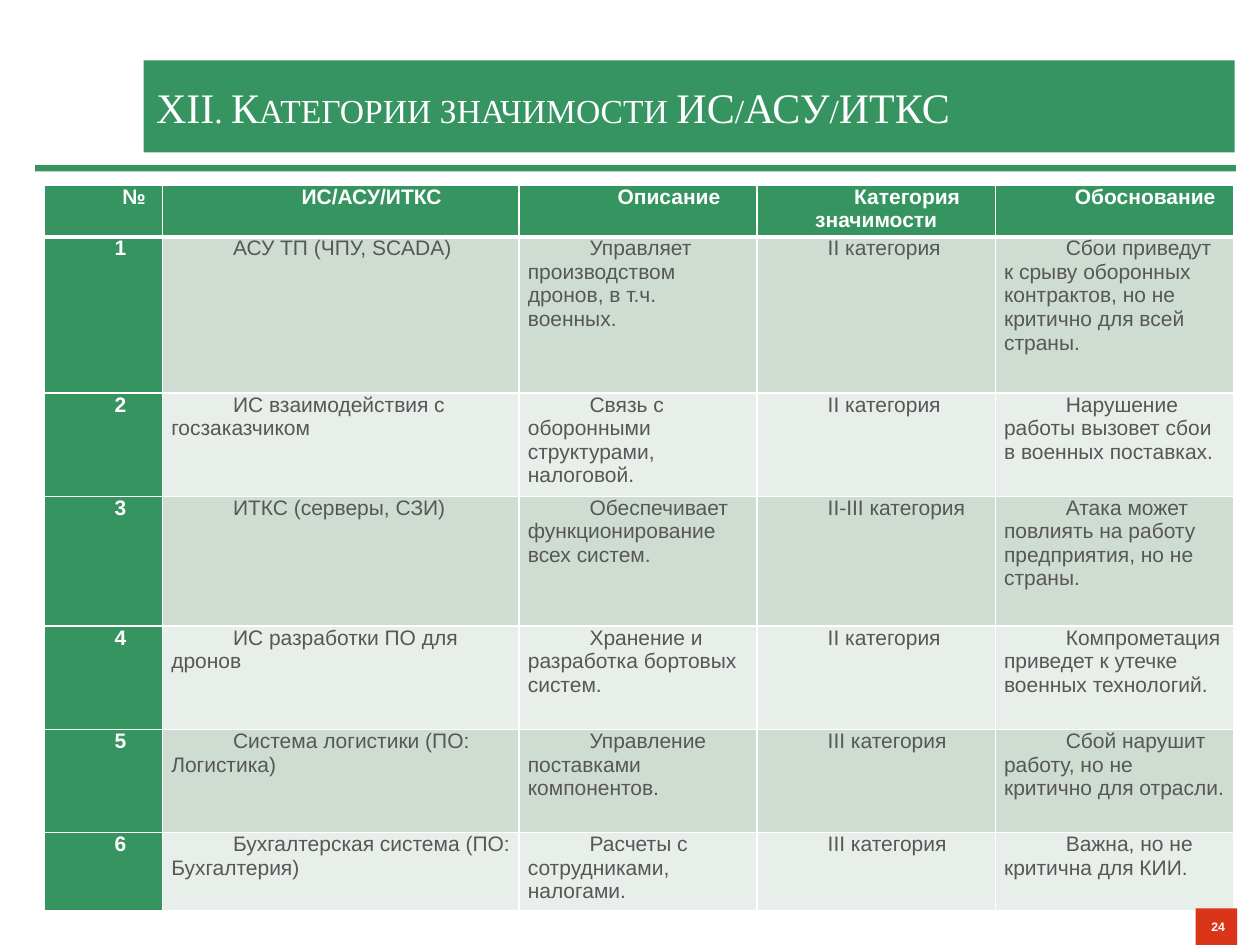
from lxml.etree import SubElement
from pptx import Presentation
from pptx.dml.color import RGBColor
from pptx.enum.shapes import MSO_SHAPE as Shape
from pptx.enum.text import MSO_ANCHOR as Anchor, PP_ALIGN as Align
from pptx.oxml.ns import qn
from pptx.util import Inches, Pt

GREEN, RED, WHITE, GREY = "369461", "DB3519", "FFFFFF", "575756"
BANDS = ["CEDCD2", "E8EEEA"]
TITLE = "XII. Категории значимости ИС/АСУ/ИТКС"
PAGE_NUMBER = "24"
HEADER = ["№", "ИС/АСУ/ИТКС", "Описание", "Категория значимости", "Обоснование"]
SYSTEMS = [
    ("АСУ ТП (ЧПУ, SCADA)", "Управляет производством дронов, в т.ч. военных.", "II категория",
     "Сбои приведут к срыву оборонных контрактов, но не критично для всей страны."),
    ("ИС взаимодействия с госзаказчиком", "Связь с оборонными структурами, налоговой.",
     "II категория", "Нарушение работы вызовет сбои в военных поставках."),
    ("ИТКС (серверы, СЗИ)", "Обеспечивает функционирование всех систем.", "II-III категория",
     "Атака может повлиять на работу предприятия, но не страны."),
    ("ИС разработки ПО для дронов", "Хранение и разработка бортовых систем.", "II категория",
     "Компрометация приведет к утечке военных технологий."),
    ("Система логистики (ПО: Логистика)", "Управление поставками компонентов.", "III категория",
     "Сбой нарушит работу, но не критично для отрасли."),
    ("Бухгалтерская система (ПО: Бухгалтерия)", "Расчеты с сотрудниками, налогами.",
     "III категория", "Важна, но не критична для КИИ."),
]
COLUMN_WIDTHS = [0.94, 2.83, 1.89, 1.89, 1.89]
ROW_HEIGHTS = [0.41, 1.24, 0.82, 1.03, 0.82, 0.82, 0.62]


def color(value):
    return RGBColor.from_string(value)


def add_run(para, text, size, font, tint, bold=False):
    span = para.add_run()
    span.text = text
    span.font.size = Pt(size)
    span.font.name = font
    span.font.bold = bold
    span.font.color.rgb = color(tint)
    return span


def add_block(page, left, top, width, height, fill):
    box = page.shapes.add_shape(
        Shape.RECTANGLE, Inches(left), Inches(top), Inches(width), Inches(height))
    box.shadow.inherit = False
    box.fill.solid()
    box.fill.fore_color.rgb = color(fill)
    box.line.fill.background()
    box.text_frame.word_wrap = True
    box.text_frame.vertical_anchor = Anchor.MIDDLE
    return box


def add_border(cell, side, width):
    line = SubElement(cell._tc.get_or_add_tcPr(), qn(f"a:ln{side}"), w=str(Pt(width)))
    fill = SubElement(line, qn("a:solidFill"))
    SubElement(fill, qn("a:srgbClr"), val=WHITE)


def fill_cell(cell, text, row, column):
    strong = row == 0 or column == 0
    thick = {0: "B", 1: "T"}.get(row)
    for side in "LRTB":
        add_border(cell, side, 3 if side == thick else 1)
    cell.fill.solid()
    cell.fill.fore_color.rgb = color(GREEN if strong else BANDS[(row - 1) % 2])
    cell.margin_left = cell.margin_right = Inches(0.07)
    cell.margin_top = cell.margin_bottom = 0
    para = cell.text_frame.paragraphs[0]
    para.alignment = Align.CENTER if row == 0 else Align.LEFT
    para.space_before = Pt(6)
    properties = para._p.get_or_add_pPr()
    properties.set("marL", "0")
    properties.set("indent", str(Inches(0.49)))
    add_run(para, text, 12, "Arial", WHITE if strong else GREY, strong)


def add_systems_table(page):
    rows = [HEADER] + [(str(number), *system) for number, system in enumerate(SYSTEMS, 1)]
    frame = page.shapes.add_table(
        len(rows), len(HEADER), Inches(0.35), Inches(1.47),
        Inches(sum(COLUMN_WIDTHS)), Inches(sum(ROW_HEIGHTS)))
    table = frame.table
    for column, width in zip(table.columns, COLUMN_WIDTHS):
        column.width = Inches(width)
    for row, height in zip(table.rows, ROW_HEIGHTS):
        row.height = Inches(height)
    for r, texts in enumerate(rows):
        for c, text in enumerate(texts):
            fill_cell(table.cell(r, c), text, r, c)


def main():
    deck = Presentation()
    deck.slide_width, deck.slide_height = Inches(10), Inches(7.5)
    page = deck.slides.add_slide(deck.slide_layouts[6])

    add_block(page, 0.28, 1.31, 9.53, 0.05, GREEN)

    title = add_block(page, 1.14, 0.48, 8.66, 0.73, GREEN)
    title.text_frame.margin_top = title.text_frame.margin_bottom = Inches(0.12)
    para = title.text_frame.paragraphs[0]
    para.alignment = Align.LEFT
    span = add_run(para, TITLE, 24, "Times New Roman", WHITE)
    span._r.get_or_add_rPr().set("cap", "small")

    add_systems_table(page)

    badge = add_block(page, 9.49, 7.21, 0.33, 0.29, RED)
    para = badge.text_frame.paragraphs[0]
    para.alignment = Align.RIGHT
    add_run(para, PAGE_NUMBER, 7, "Arial", WHITE, True)

    deck.save("out.pptx")


if __name__ == "__main__":
    main()
